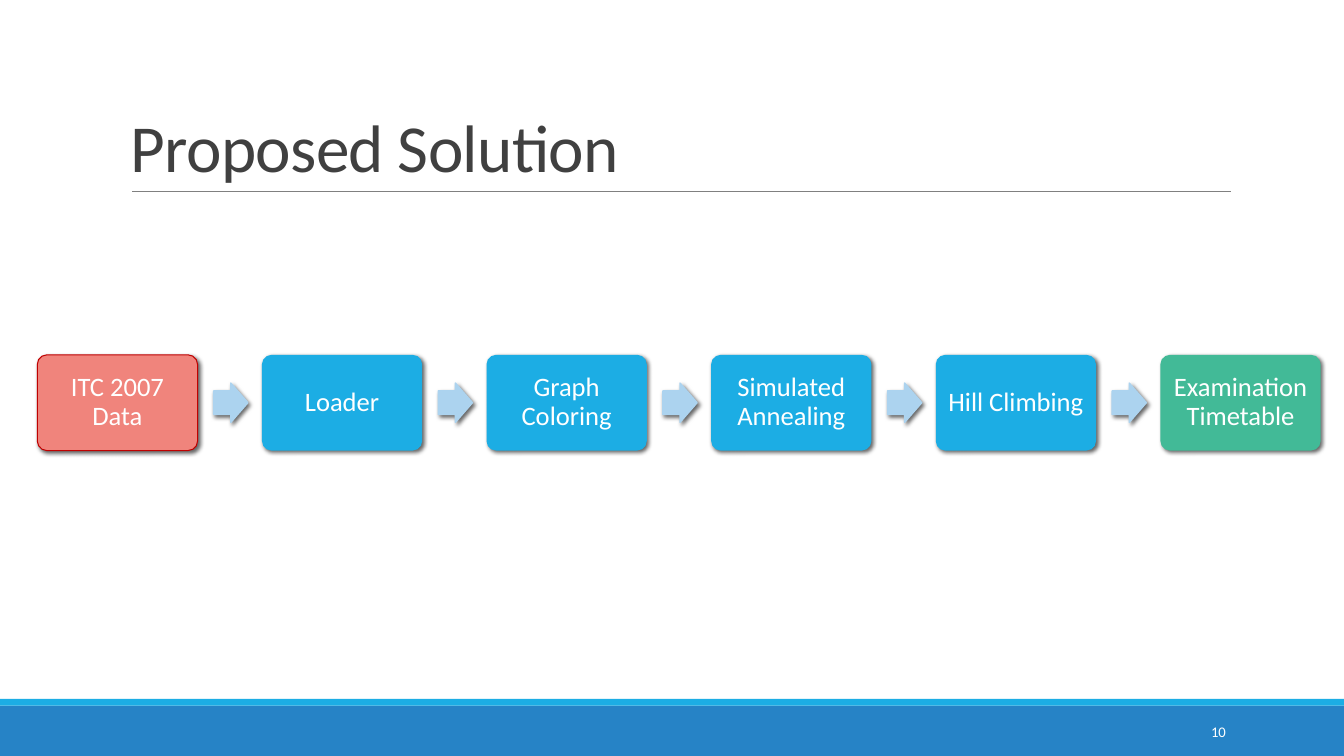
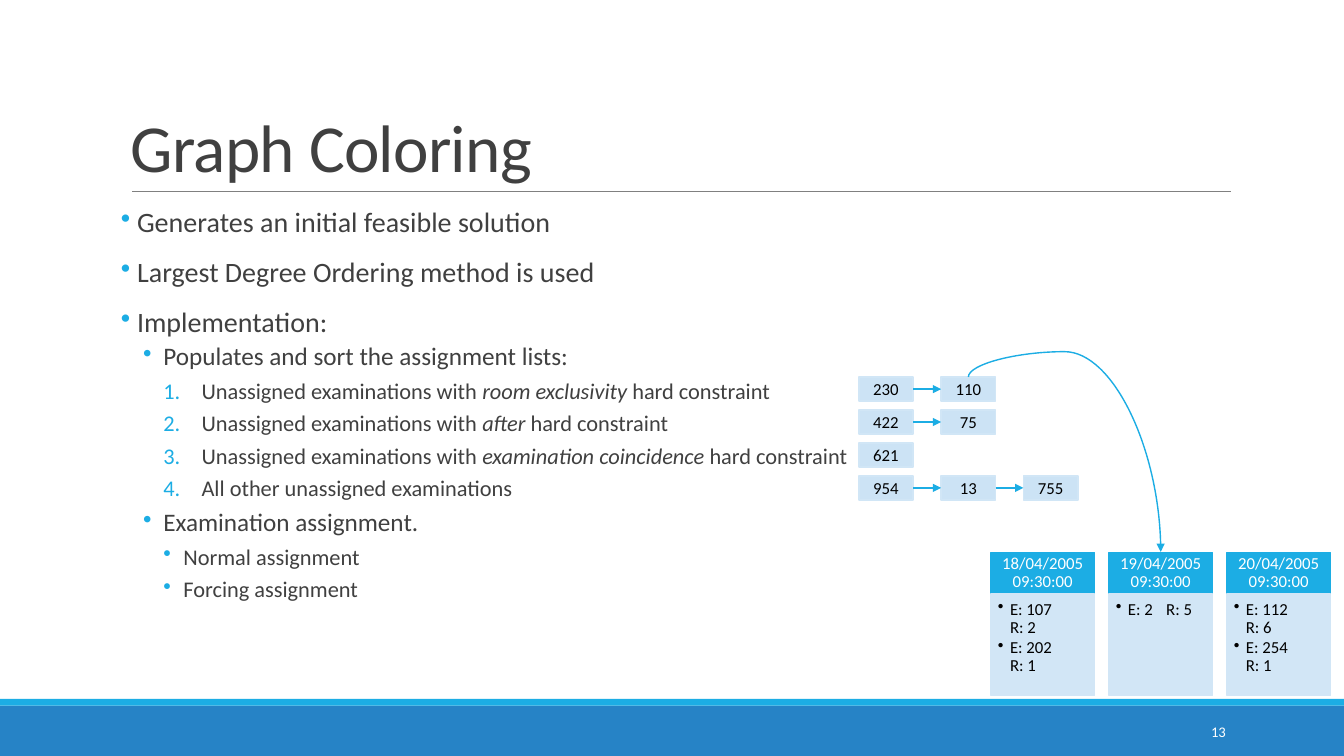
from lxml.etree import SubElement
from pptx import Presentation
from pptx.dml.color import RGBColor
from pptx.enum.shapes import MSO_CONNECTOR, MSO_SHAPE
from pptx.enum.text import MSO_ANCHOR, PP_ALIGN
from pptx.oxml.ns import qn
from pptx.util import Inches, Pt

COLORS = {
    "band": "2683C6", "accent": "1CADE4", "rule": "808080", "title": "404040",
    "white": "FFFFFF", "black": "000000", "input": "F0847C", "input_line": "C00000",
    "output": "42BA97", "arrow": "ACD3EF", "chip": "CCE3F5", "chip_line": "D1E6F6",
    "panel": "D2E6F6",
}
FONT = "Calibri"
COLUMNS, ROWS = 80, 45
WIDTH, HEIGHT = Inches(13.333), Inches(7.5)


def color(name):
    return RGBColor.from_string(COLORS[name])


def across(columns):
    return round(WIDTH * columns / COLUMNS)


def down(rows):
    return round(HEIGHT * rows / ROWS)


def add_xml(parent, tag, **attributes):
    return SubElement(parent, qn(tag), {key: str(value) for key, value in attributes.items()})


def write(frame, text, size=12, ink="black", align=PP_ALIGN.LEFT, leading=1.0, before=0,
          after=0, bullet=None, bullet_ink=None, indent=0, hanging=0, tracking=0):
    """Add one paragraph; words between asterisks are italic."""
    first = frame.paragraphs[0]
    para = frame.add_paragraph() if first.runs else first
    para.alignment, para.line_spacing = align, leading
    para.space_before, para.space_after = Pt(before), Pt(after)
    if bullet:
        properties = para._p.get_or_add_pPr()
        properties.set("marL", str(Inches(indent)))
        properties.set("indent", str(-Inches(hanging)))
        if bullet_ink:
            add_xml(add_xml(properties, "a:buClr"), "a:srgbClr", val=COLORS[bullet_ink])
        if bullet == "1.":
            add_xml(properties, "a:buAutoNum", type="arabicPeriod")
        else:
            add_xml(properties, "a:buChar", char=bullet)
    for number, words in enumerate(text.split("*")):
        span = para.add_run()
        span.text = words
        span.font.name, span.font.size = FONT, Pt(size)
        span.font.color.rgb = color(ink)
        span.font.italic = number % 2 == 1
        if tracking:
            span._r.get_or_add_rPr().set("spc", str(round(tracking * 100)))


class Deck:
    def __init__(self):
        self.deck = Presentation()
        self.deck.slide_width, self.deck.slide_height = WIDTH, HEIGHT
        self.page = None

    def add_page(self, title, number):
        """Start a page with its title, rule, bands and page number."""
        self.page = self.deck.slides.add_slide(self.deck.slide_layouts[6])
        self.box(0, 42, COLUMNS, 3, "band")
        self.box(0, 41.6, COLUMNS, 0.4, "accent")
        self.line((7.86, 11.4), (73.26, 11.4), "rule", 0.5)
        frame = self.text(7.2, 1.86, 66, 9.54, MSO_ANCHOR.BOTTOM)
        write(frame, title, size=48, ink="title", leading=0.85, tracking=-0.5)
        frame = self.text(65, 42.36, 8.56, 2.4, MSO_ANCHOR.MIDDLE)
        write(frame, str(number), size=10.5, ink="white", align=PP_ALIGN.RIGHT)

    def set_frame(self, shape, anchor, insets):
        frame = shape.text_frame
        frame.word_wrap, frame.vertical_anchor = True, anchor
        (frame.margin_left, frame.margin_top,
         frame.margin_right, frame.margin_bottom) = map(Inches, insets)
        return frame

    def text(self, x, y, w, h, anchor=MSO_ANCHOR.TOP, insets=(0.1, 0.05, 0.1, 0.05)):
        shape = self.page.shapes.add_textbox(across(x), down(y), across(w), down(h))
        return self.set_frame(shape, anchor, insets)

    def box(self, x, y, w, h, fill, line=None, weight=1.25, kind=MSO_SHAPE.RECTANGLE,
            adjust=(), shadow=False, anchor=MSO_ANCHOR.MIDDLE, insets=(0, 0, 0, 0)):
        """Draw a preset shape and return its text frame."""
        shape = self.page.shapes.add_shape(kind, across(x), down(y), across(w), down(h))
        for index, value in enumerate(adjust):
            shape.adjustments[index] = value
        shape.fill.solid()
        shape.fill.fore_color.rgb = color(fill)
        if line:
            shape.line.color.rgb, shape.line.width = color(line), Pt(weight)
        else:
            shape.line.fill.background()
        shape.shadow.inherit = False
        if shadow:
            effects = shape._element.spPr.find(qn("a:effectLst"))
            outer = add_xml(effects, "a:outerShdw", blurRad=Pt(3), dist=Pt(2),
                            dir=45 * 60000, rotWithShape=0)
            shade = add_xml(outer, "a:srgbClr", val=COLORS["black"])
            add_xml(shade, "a:alpha", val=60000)
        return self.set_frame(shape, anchor, insets)

    def line(self, start, end, ink="accent", weight=1, arrow=False,
             kind=MSO_CONNECTOR.STRAIGHT):
        (x1, y1), (x2, y2) = start, end
        connector = self.page.shapes.add_connector(
            kind, across(x1), down(y1), across(x2), down(y2))
        connector.line.color.rgb, connector.line.width = color(ink), Pt(weight)
        properties = connector._element.spPr
        if arrow:
            add_xml(properties.find(qn("a:ln")), "a:tailEnd", type="triangle")
        add_xml(properties, "a:effectLst")
        return connector

    def arch(self, start, end, lift):
        """Curve that leaves upwards and lands from above: a connector turned by 270 degrees."""
        (x1, y1), (x2, y2) = start, end
        middle_x, middle_y = (x1 + x2) / 2, (y1 + y2) / 2
        half_w, half_h = (y2 - y1) / 2, (x2 - x1) / 2
        connector = self.line((middle_x + half_w, middle_y - half_h),
                              (middle_x - half_w, middle_y + half_h),
                              arrow=True, kind=MSO_CONNECTOR.CURVE)
        properties = connector._element.spPr
        properties.find(qn("a:xfrm")).set("rot", str(270 * 60000))
        geometry = properties.find(qn("a:prstGeom"))
        guides = geometry.find(qn("a:avLst"))
        if guides is None:
            guides = add_xml(geometry, "a:avLst")
        add_xml(guides, "a:gd", name="adj1", fmla=f"val {round(-lift * 100000)}")


def build_solution(deck):
    deck.add_page("Proposed Solution", 10)
    steps = ["ITC 2007 Data", "Loader", "Graph Coloring", "Simulated Annealing",
             "Hill Climbing", "Examination Timetable"]
    last = len(steps) - 1
    fills = {0: "input", last: "output"}
    for index, step in enumerate(steps):
        x = 2.22 + 13.37 * index
        frame = deck.box(x, 21.12, 9.54, 5.7, fills.get(index, "accent"),
                         None if index else "input_line", 0.75,
                         kind=MSO_SHAPE.ROUNDED_RECTANGLE, adjust=(0.1,), shadow=True,
                         insets=(0.1, 0.1, 0.1, 0.1))
        write(frame, step, size=19, ink="white", align=PP_ALIGN.CENTER, leading=0.9)
        if index < last:
            deck.box(x + 10.5, 22.8, 2.04, 2.34, "arrow", "arrow", 1,
                     kind=MSO_SHAPE.RIGHT_ARROW, adjust=(0.6, 0.5), shadow=True)


def build_coloring(deck):
    deck.add_page("Graph Coloring", 13)

    # Outline
    styles = {
        "point": dict(size=20, before=12, after=2, bullet="•", indent=0.16, hanging=0.16),
        "part": dict(size=18, before=2, after=4, bullet="•", indent=0.42, hanging=0.2),
        "step": dict(size=16, before=2, after=4, bullet="1.", indent=0.8, hanging=0.38),
        "detail": dict(size=16, before=2, after=4, bullet="•", indent=0.62, hanging=0.2),
    }
    outline = [
        ("point", "Generates an initial feasible solution"),
        ("point", "Largest Degree Ordering method is used"),
        ("point", "Implementation:"),
        ("part", "Populates and sort the assignment lists:"),
        ("step", "Unassigned examinations with *room exclusivity *hard constraint"),
        ("step", "Unassigned examinations with *after* hard constraint"),
        ("step", "Unassigned examinations with *examination coincidence *hard constraint"),
        ("step", "All other unassigned examinations"),
        ("part", "Examination assignment."),
        ("detail", "Normal assignment"),
        ("detail", "Forcing assignment"),
    ]
    frame = deck.text(7.2, 12.12, 66, 26.4, insets=(0, 0.05, 0, 0.05))
    for style, text in outline:
        write(frame, text, ink="title", leading=0.9, bullet_ink="accent", **styles[style])

    # Timetable columns
    left, pitch, width = 58.98, 7.02, 6.18
    timetable = [
        ("18/04/2005 09:30:00", ["E: 107\tR: 2", "E: 202\tR: 1"]),
        ("19/04/2005 09:30:00", ["E: 2\tR: 5"]),
        ("20/04/2005 09:30:00", ["E: 112\tR: 6", "E: 254\tR: 1"]),
    ]
    for index, (period, exams) in enumerate(timetable):
        x = left + pitch * index
        head = deck.box(x, 32.88, width, 2.46, "accent", "accent",
                        insets=(0.09, 0.05, 0.09, 0.05))
        write(head, period, ink="white", align=PP_ALIGN.CENTER, leading=0.9)
        panel = deck.box(x, 35.34, width, 6.06, "panel", "panel",
                         anchor=MSO_ANCHOR.TOP, insets=(0.07, 0.07, 0.03, 0.1))
        for exam in exams:
            write(panel, exam, leading=0.9, after=1.5, bullet="•", indent=0.12, hanging=0.12)

    # Assignment lists
    chip_left, chip_top, chip_w, chip_h = 51.12, 22.44, 3.24, 1.44
    chip_pitch, list_pitch = 4.9, 1.96
    lists = [["230", "110"], ["422", "75"], ["621"], ["954", "13", "755"]]
    for row, exams in enumerate(lists):
        y = chip_top + list_pitch * row
        for column, exam in enumerate(exams):
            x = chip_left + chip_pitch * column
            chip = deck.box(x, y, chip_w, chip_h, "chip", "chip_line")
            write(chip, exam, align=PP_ALIGN.CENTER)
            if column:
                middle = y + chip_h / 2
                deck.line((x - chip_pitch + chip_w, middle), (x, middle), arrow=True)

    # Exam 110 goes to the second period
    deck.arch((chip_left + chip_pitch + chip_w / 2, chip_top),
              (left + pitch + width / 2, 32.85), lift=0.145)


def main():
    deck = Deck()
    build_solution(deck)
    build_coloring(deck)
    deck.deck.save("out.pptx")


if __name__ == "__main__":
    main()
